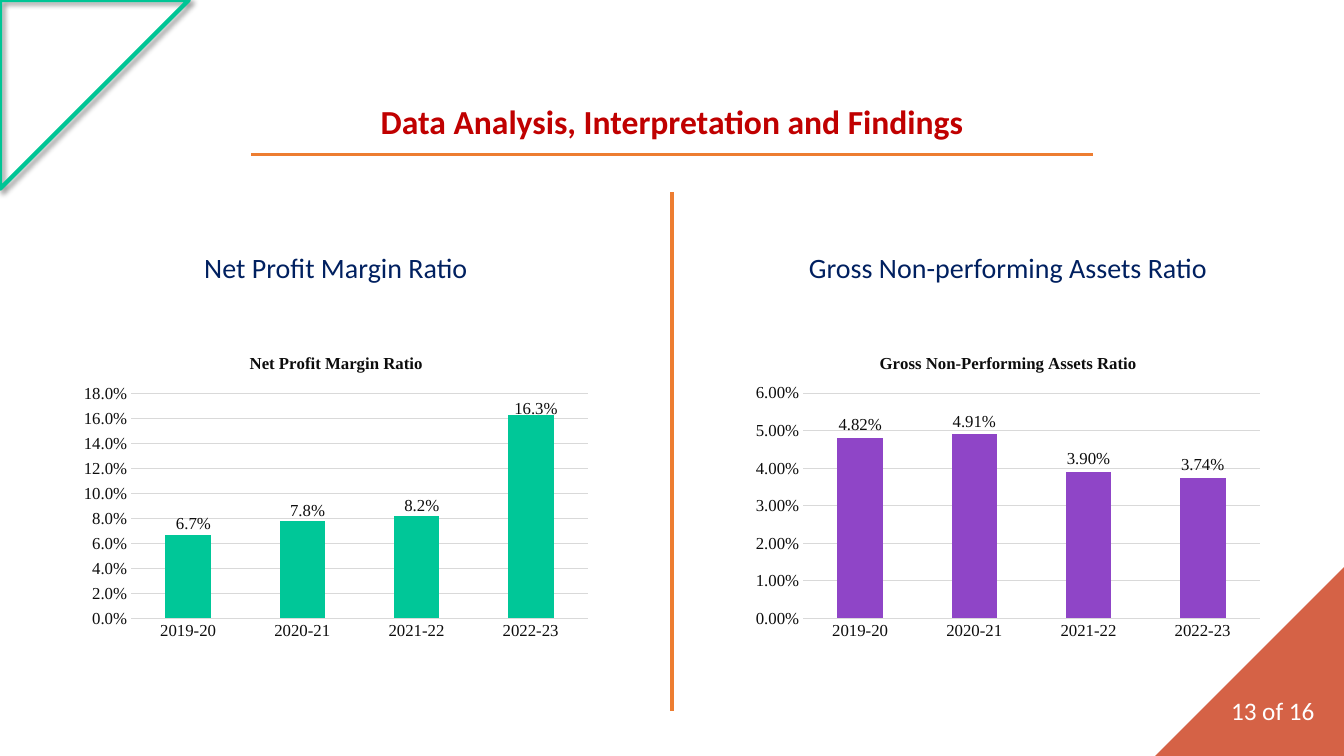
from dataclasses import dataclass

from lxml import etree
from pptx import Presentation
from pptx.chart.data import CategoryChartData
from pptx.dml.color import RGBColor
from pptx.enum.chart import XL_CHART_TYPE as ChartType
from pptx.enum.chart import XL_LABEL_POSITION as LabelPos
from pptx.enum.chart import XL_TICK_MARK as Tick
from pptx.enum.shapes import MSO_CONNECTOR, MSO_SHAPE
from pptx.enum.text import MSO_ANCHOR, PP_ALIGN
from pptx.oxml import parse_xml
from pptx.oxml.ns import nsdecls, qn
from pptx.util import Cm, Pt


@dataclass(frozen=True)
class Theme:
    title: str = "C00000"
    heading: str = "002060"
    rule: str = "ED7D31"
    outline: str = "00C595"
    corner: str = "D56246"
    page: str = "FFFFFF"
    profit: str = "00C798"
    assets: str = "8F45C7"
    chart_text: str = "0D0D0D"
    grid: str = "D9D9D9"
    font: str = "Calibri"
    chart_font: str = "Times New Roman"
    title_size: int = 24
    heading_size: int = 20
    page_size: int = 18
    chart_size: int = 12


T = Theme()
SLIDE_W, SLIDE_H = 33.87, 19.05
CORNER = 4.76
YEARS = ("2019-20", "2020-21", "2021-22", "2022-23")


def rgb(value):
    return RGBColor.from_string(value)


def style(font, size, color, name=T.font, bold=False):
    font.size, font.name, font.bold = Pt(size), name, bold
    font.color.rgb = rgb(color)


def chart_style(font, bold=False):
    style(font, T.chart_size, T.chart_text, T.chart_font, bold)


def write(sp, text, size, color, bold=False):
    """Fill a shape with one centred, styled paragraph."""
    tf = sp.text_frame
    tf.word_wrap = True
    tf.text = text
    p = tf.paragraphs[0]
    p.alignment = PP_ALIGN.CENTER
    style(p.runs[0].font, size, color, bold=bold)


def add_text(s, x, y, w, h, text, size, color):
    sp = s.shapes.add_textbox(Cm(x), Cm(y), Cm(w), Cm(h))
    write(sp, text, size, color)


def add_rule(s, x1, y1, x2, y2, width):
    line = s.shapes.add_connector(MSO_CONNECTOR.STRAIGHT, Cm(x1), Cm(y1), Cm(x2), Cm(y2))
    line.line.color.rgb = rgb(T.rule)
    line.line.width = Pt(width)
    etree.SubElement(line._element.spPr, qn("a:effectLst"))


def add_corner(s, x, y, rotation, fill=None, outline=None):
    """Add a shadowed right triangle, either filled or outlined."""
    sp = s.shapes.add_shape(MSO_SHAPE.RIGHT_TRIANGLE, Cm(x), Cm(y), Cm(CORNER), Cm(CORNER))
    sp.rotation = rotation
    if fill:
        sp.fill.solid()
        sp.fill.fore_color.rgb = rgb(fill)
    else:
        sp.fill.background()
    if outline:
        sp.line.color.rgb = rgb(outline)
        sp.line.width = Pt(3)
    else:
        sp.line.fill.background()
    sp._element.spPr.append(parse_xml(
        f'<a:effectLst {nsdecls("a")}><a:outerShdw blurRad="{Pt(4)}" dist="{Pt(3)}" '
        'dir="2700000" algn="tl" rotWithShape="0"><a:srgbClr val="000000">'
        '<a:alpha val="40000"/></a:srgbClr></a:outerShdw></a:effectLst>'))


def layout_xml(x, y, size=None, edge=True):
    """Build a manual chart layout in fractions of the chart area."""
    parts = [("layoutTarget", "inner")] if size else []
    if edge:
        parts += [("xMode", "edge"), ("yMode", "edge")]
    parts += [("x", x), ("y", y)]
    if size:
        parts += zip("wh", size)
    body = "".join(f'<c:{tag} val="{val}"/>' for tag, val in parts)
    return parse_xml(f'<c:layout {nsdecls("c")}><c:manualLayout>{body}'
                     '</c:manualLayout></c:layout>')


def set_layout(parent, before, layout):
    """Put a layout after the child named before, replacing any present."""
    for old in parent.findall(qn("c:layout")):
        parent.remove(old)
    if before is None:
        parent.insert(0, layout)
    else:
        parent.find(qn(before)).addnext(layout)


def hide_leader_lines(dlbls):
    for flag in dlbls.findall(qn("c:showLeaderLines")):
        flag.set("val", "0")
    dlbls.append(parse_xml(
        f'<c:extLst {nsdecls("c")}><c:ext uri="{{CE6537A1-D6FC-4f65-9D91-7224C49458BB}}" '
        'xmlns:c15="http://schemas.microsoft.com/office/drawing/2012/chart">'
        '<c15:showLeaderLines val="0"/></c:ext></c:extLst>'))


def format_axes(chart, fmt, top, step):
    for axis in (chart.category_axis, chart.value_axis):
        axis.major_tick_mark = axis.minor_tick_mark = Tick.NONE
        axis.format.line.fill.background()
        chart_style(axis.tick_labels.font)
    axis = chart.value_axis
    axis.minimum_scale, axis.maximum_scale, axis.major_unit = 0, top, step
    axis.tick_labels.number_format = fmt
    axis.tick_labels.number_format_is_linked = False
    grid = axis.major_gridlines.format.line
    grid.color.rgb = rgb(T.grid)
    grid.width = Pt(0.75)


def format_labels(series, fmt, shifts):
    """Show values; shifts move the centred labels of stacked columns."""
    labels = series.data_labels
    labels.show_value = True
    labels.number_format, labels.number_format_is_linked = fmt, False
    chart_style(labels.font)
    if not shifts:
        labels.position = LabelPos.OUTSIDE_END
    for i in range(len(shifts)):
        label = series.points[i].data_label
        chart_style(label.font)
        label.position = LabelPos.CENTER
    for dlbl, shift in zip(series._element.iter(qn("c:dLbl")), shifts):
        set_layout(dlbl, "c:idx", layout_xml(0.01, shift, edge=False))
    hide_leader_lines(series._element.find(qn("c:dLbls")))


def add_ratio_panel(s, x, y, w, heading, title, title_x, kind, values, color,
                    fmt, top, step, shifts=()):
    add_text(s, x, y, w, 1.12, heading, T.heading_size, T.heading)
    data = CategoryChartData(number_format=fmt)
    data.categories = YEARS
    data.add_series("Series 1", values)
    chart = s.shapes.add_chart(kind, Cm(x + 0.12), Cm(y + 2.4), Cm(w - 0.24),
                               Cm(7.77), data).chart
    chart_style(chart.font)
    chart.has_legend = False
    chart.has_title = True
    chart.chart_title.text_frame.text = title
    chart_style(chart.chart_title.text_frame.paragraphs[0].runs[0].font, bold=True)
    set_layout(chart.chart_title._element, "c:tx", layout_xml(title_x, 0.03))
    set_layout(chart._chartSpace.chart.plotArea, None,
               layout_xml(0.11, 0.17, (0.87, 0.73)))
    plot = chart.plots[0]
    plot.gap_width, plot.vary_by_categories = 150, False
    if kind == ChartType.COLUMN_STACKED:
        plot.overlap = 100
    series = plot.series[0]
    series.format.fill.solid()
    series.format.fill.fore_color.rgb = rgb(color)
    format_axes(chart, fmt, top, step)
    format_labels(series, fmt, shifts)


def add_title(s, x, y, w, h, text):
    sp = s.shapes.title
    sp.left, sp.top, sp.width, sp.height = Cm(x), Cm(y), Cm(w), Cm(h)
    sp.text_frame.vertical_anchor = MSO_ANCHOR.MIDDLE
    write(sp, text, T.title_size, T.title, bold=True)
    add_rule(s, x + 4.37, y + 1.48, x + w - 4.37, y + 1.48, 2.25)


def main():
    prs = Presentation()
    prs.slide_width, prs.slide_height = Cm(SLIDE_W), Cm(SLIDE_H)
    s = prs.slides.add_slide(prs.slide_layouts[5])
    add_corner(s, 0, 0, 90, outline=T.outline)
    add_corner(s, SLIDE_W - CORNER, SLIDE_H - CORNER, 270, fill=T.corner)
    add_text(s, 30.36, 17.4, 3.43, 1.02, "13 of 16", T.page_size, T.page)
    add_rule(s, SLIDE_W / 2, 4.85, SLIDE_W / 2, 17.91, 3)
    panel_x, panel_y, panel_w = 1.73, 6.19, 13.47
    add_ratio_panel(s, panel_x, panel_y, panel_w, "Net Profit Margin Ratio",
                    "Net Profit Margin Ratio", 0.33, ChartType.COLUMN_STACKED,
                    (0.067, 0.078, 0.082, 0.163), T.profit, "0.0%", 0.18, 0.02,
                    shifts=(-0.17, -0.19, -0.2, -0.35))
    add_ratio_panel(s, panel_x + SLIDE_W / 2, panel_y, panel_w,
                    "Gross Non-performing Assets Ratio",
                    "Gross Non-Performing Assets Ratio", 0.25, ChartType.COLUMN_CLUSTERED,
                    (0.0482, 0.0491, 0.039, 0.0374), T.assets, "0.00%", 0.06, 0.01)
    add_title(s, 1.96, 2.41, 29.95, 1.27, "Data Analysis, Interpretation and Findings")
    prs.save("out.pptx")


if __name__ == "__main__":
    main()
